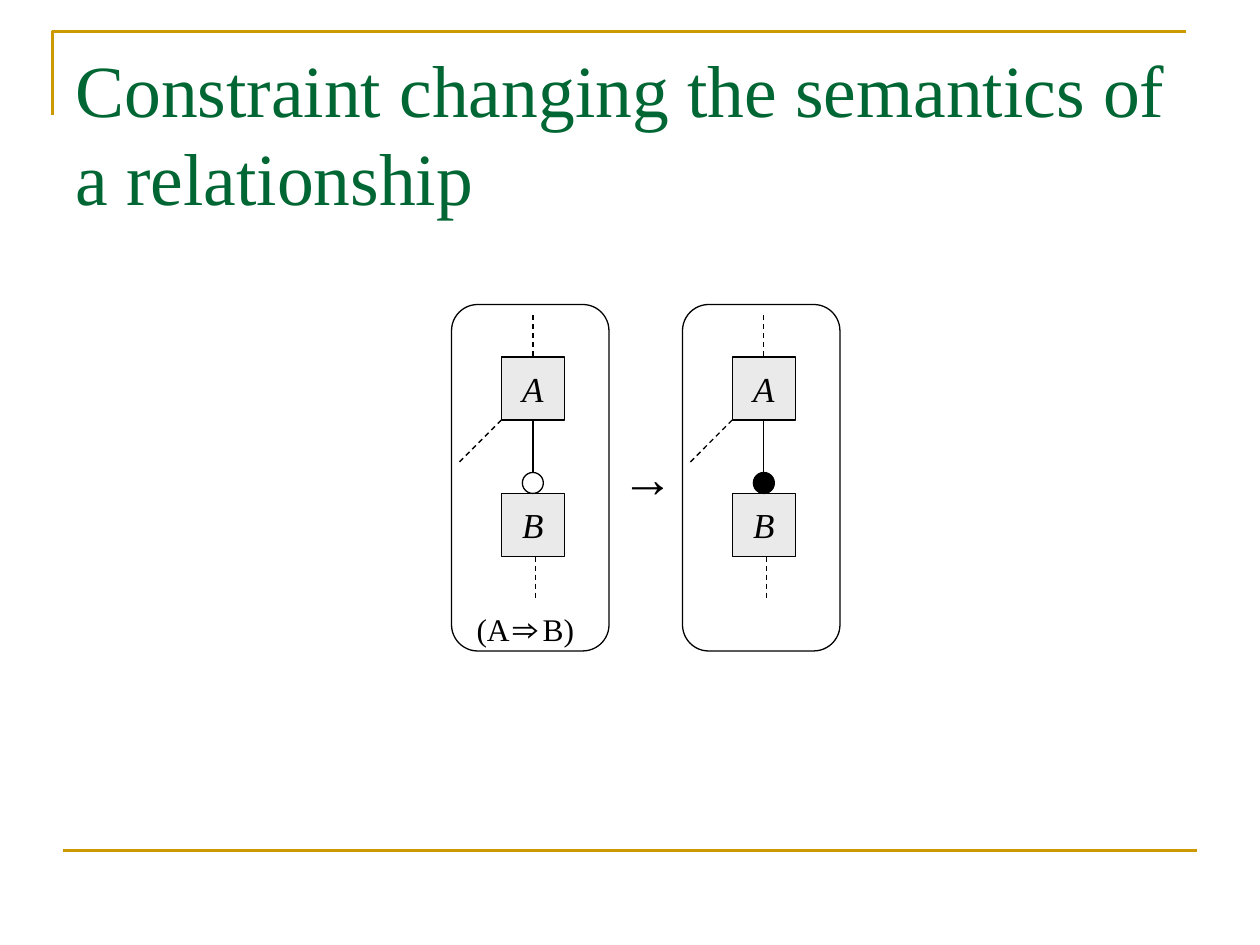
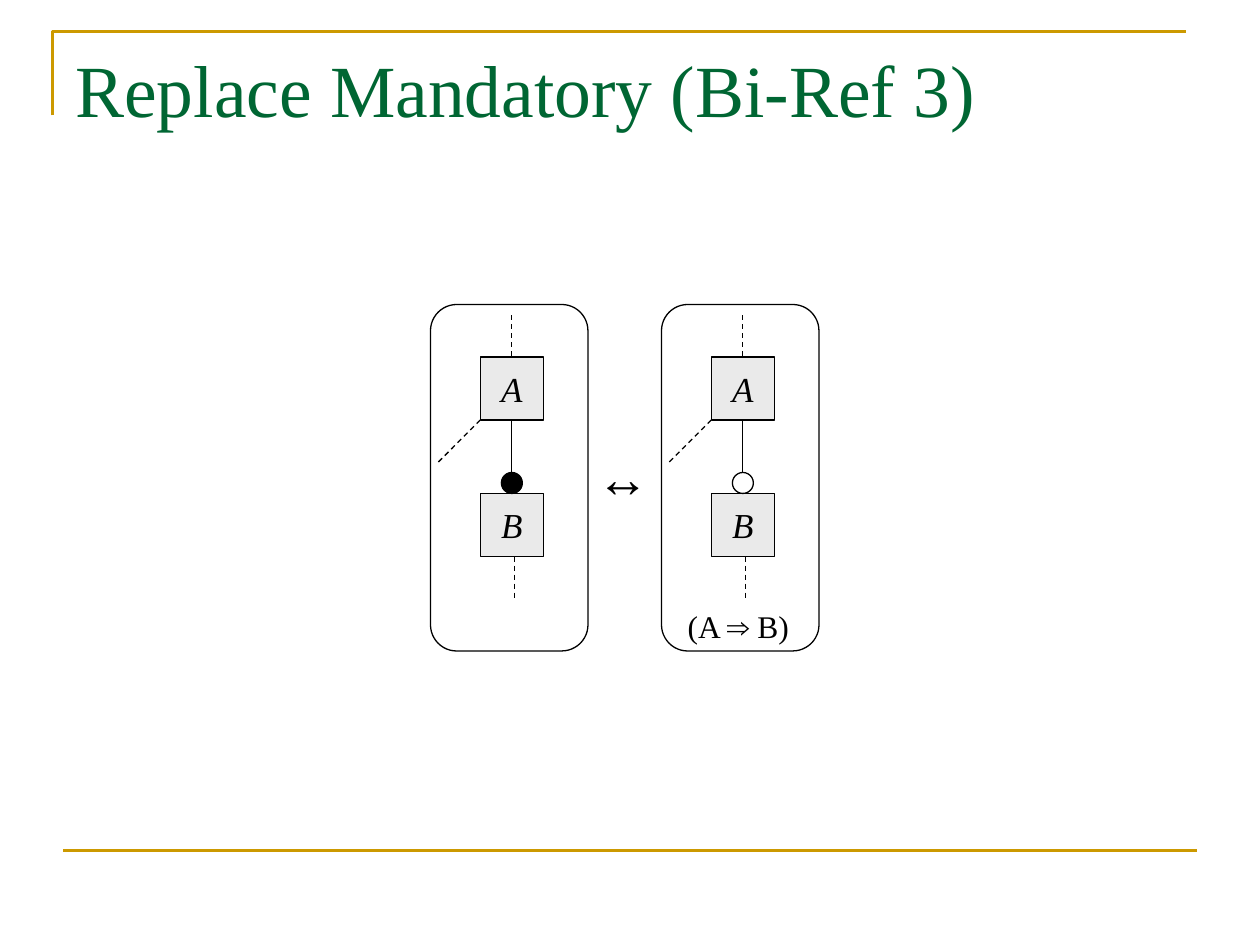
from pptx import Presentation, util as u
from pptx.dml.color import RGBColor
from pptx.enum import dml, shapes, text
from pptx.oxml.ns import qn
from lxml import etree

GOLD = RGBColor(0xCC, 0x99, 0x00)
GREEN = RGBColor(0x00, 0x66, 0x33)
GRAY = RGBColor(0xEA, 0xEA, 0xEA)
BLACK = RGBColor(0, 0, 0)
WHITE = RGBColor(255, 255, 255)
SERIF, MONO = "Times New Roman", "Courier New"

SLIDES = [
    dict(title="Constraint changing the semantics of a relationship",
         left=43, dots=(WHITE, BLACK), arrow=("→", 16),
         rule=(0, 1.2, 57.5, [("(A ", SERIF), ("⇒", MONO), (" B)", SERIF)])),
    dict(title="Replace Mandatory (Bi-Ref 3)",
         left=41, dots=(BLACK, WHITE), arrow=("↔", 15.65),
         rule=(1, 1.3, 57.25, [("(A ⇒ B)", SERIF)])),
]

CELL = u.Inches(1) / 12
TOP, WIDE, HIGH, STEP = 29, 15, 33, 22
BOX, SIDE, MID = 6, 4.75, 7.75
NODES = [("A", 5), ("B", 18)]
LINKS = [
    (MID, 11, MID, 18, False),
    (MID, 1, MID, 5, True),
    (SIDE, 11, SIDE - 4, 15, True),
    (MID + 0.25, 24, MID + 0.25, 28, True),
]


def grid(*cells):
    return [u.Emu(round(c * CELL)) for c in cells]


def style(run, size, color=BLACK, face=SERIF, slant=False):
    run.font.size = u.Pt(size)
    run.font.name = face
    run.font.color.rgb = color
    run.font.italic = slant


def shape(slide, kind, place, fill=None):
    item = slide.shapes.add_shape(kind, *grid(*place))
    item.shadow.inherit = False
    if fill is None:
        item.fill.background()
    else:
        item.fill.solid()
        item.fill.fore_color.rgb = fill
    item.line.color.rgb = BLACK
    item.line.width = u.Pt(0.75)
    return item


def line(slide, ends, color=BLACK, width=0.75, dash=False):
    item = slide.shapes.add_connector(shapes.MSO_CONNECTOR.STRAIGHT, *grid(*ends))
    item.line.color.rgb = color
    item.line.width = u.Pt(width)
    if dash:
        item.line.dash_style = dml.MSO_LINE.DASH
    etree.SubElement(item._element.spPr, qn("a:effectLst"))


def label(slide, place, parts, size, color=BLACK, wrap=False):
    frame = slide.shapes.add_textbox(*grid(*place)).text_frame
    frame.word_wrap = wrap
    for words, face in parts:
        run = frame.paragraphs[0].add_run()
        run.text = words
        style(run, size, color, face)


def base(slide, title):
    pen = slide.shapes.build_freeform(*grid(5, 11), scale=1.0)
    pen.add_line_segments([grid(5, 3), grid(113, 3)], close=False)
    edge = pen.convert_to_shape()
    edge.shadow.inherit = False
    edge.fill.background()
    edge.line.color.rgb = GOLD
    edge.line.width = u.Pt(1.5)
    line(slide, (6, 81, 114, 81), GOLD, 1.5)
    label(slide, (6, 3.6, 108, 15), [(title, SERIF)], 42, GREEN, True)


def model(slide, left, dot):
    shape(slide, shapes.MSO_SHAPE.ROUNDED_RECTANGLE, (left, TOP, WIDE, HIGH))
    for name, row in NODES:
        node = shape(slide, shapes.MSO_SHAPE.RECTANGLE,
                     (left + SIDE, TOP + row, BOX, BOX), GRAY)
        frame = node.text_frame
        frame.text = name
        frame.word_wrap = False
        frame.vertical_anchor = text.MSO_ANCHOR.MIDDLE
        para = frame.paragraphs[0]
        para.alignment = text.PP_ALIGN.CENTER
        style(para.runs[0], 20, slant=True)
    for x1, y1, x2, y2, dash in LINKS:
        line(slide, (left + x1, TOP + y1, left + x2, TOP + y2), dash=dash)
    shape(slide, shapes.MSO_SHAPE.OVAL, (left + MID - 1, TOP + 16, 2, 2), dot)


def main():
    deck = Presentation()
    deck.slide_width, deck.slide_height = u.Inches(10), u.Inches(7.5)
    for data in SLIDES:
        slide = deck.slides.add_slide(deck.slide_layouts[6])
        base(slide, data["title"])
        left = data["left"]
        for i, dot in enumerate(data["dots"]):
            model(slide, left + i * STEP, dot)
        side, inset, row, parts = data["rule"]
        label(slide, (left + side * STEP + inset, row, 12.6, 4.8), parts, 18)
        sign, shift = data["arrow"]
        label(slide, (left + shift, 41.75, 5.4, 7.2), [(sign, MONO)], 30)
    deck.save("out.pptx")


if __name__ == "__main__":
    main()
